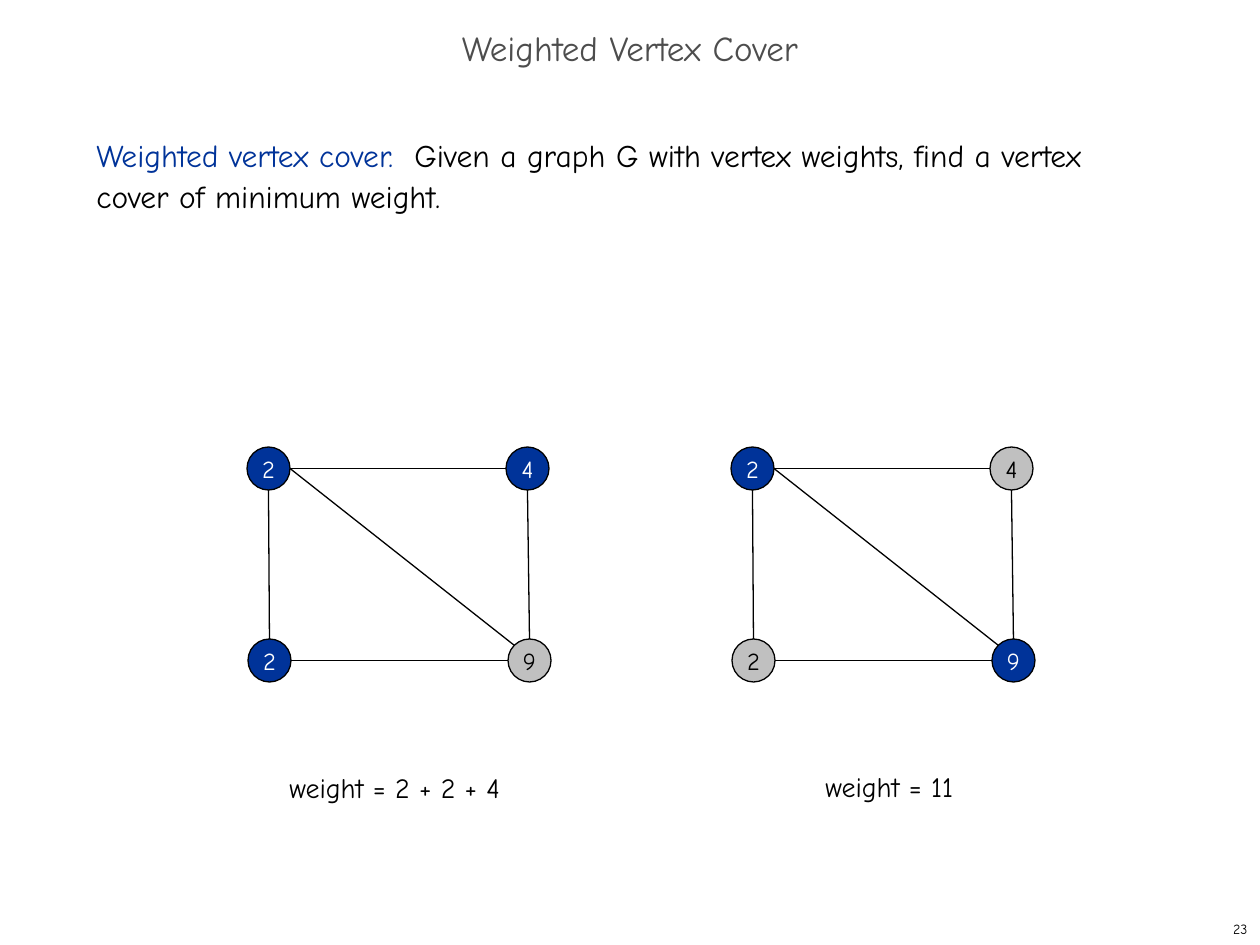
from dataclasses import dataclass

from lxml import etree
from pptx import Presentation
from pptx import util as u
from pptx.dml.color import RGBColor
from pptx.enum import shapes, text
from pptx.oxml import ns

EMU_PER_PX = 914400 / 126
FONT = "Comic Neue"
BLACK = RGBColor(0x00, 0x00, 0x00)
WHITE = RGBColor(0xFF, 0xFF, 0xFF)
BLUE = RGBColor(0x00, 0x33, 0x99)
GRAY = RGBColor(0xC0, 0xC0, 0xC0)
TITLE_GRAY = RGBColor(0x4D, 0x4D, 0x4D)

LEFT, CENTER, RIGHT = text.PP_ALIGN.LEFT, text.PP_ALIGN.CENTER, text.PP_ALIGN.RIGHT
TOP, MIDDLE = text.MSO_ANCHOR.TOP, text.MSO_ANCHOR.MIDDLE

DIAMETER = 43
LINE_WIDTH = u.Pt(0.75)
# Points on a vertex outline, as fractions of its diameter
SITES = {"top": (0.5, 0), "left": (0, 0.5), "bottom": (0.5, 1),
         "right": (1, 0.5), "top left": (0.15, 0.15)}


@dataclass(frozen=True)
class Vertex:
    weight: int
    x: int
    y: int


@dataclass(frozen=True)
class Edge:
    start: str
    start_site: str
    end: str
    end_site: str


@dataclass(frozen=True)
class Cover:
    x: int
    chosen: str
    label: str
    label_box: tuple[int, int, int, int]


VERTICES = {
    "a": Vertex(2, 0, 447),
    "b": Vertex(4, 259, 447),
    "c": Vertex(2, 1, 639),
    "d": Vertex(9, 261, 639),
}
EDGES = [
    Edge("a", "right", "b", "left"),
    Edge("a", "right", "d", "top left"),
    Edge("c", "right", "d", "left"),
    Edge("b", "bottom", "d", "top"),
    Edge("a", "bottom", "c", "top"),
]
COVERS = [
    Cover(247, "abc", "weight = 2 + 2 + 4", (277, 764, 237, 47)),
    Cover(731, "ad", "weight = 11", (813, 763, 154, 47)),
]


def px(n: float) -> u.Emu:
    return u.Emu(round(n * EMU_PER_PX))


def write(sp, *runs: tuple[str, RGBColor], size: int, align=LEFT, anchor=TOP,
          wrap: bool = False, spacing: float = 1.0) -> None:
    """Fill a shape with one paragraph of coloured runs."""
    tf = sp.text_frame
    tf.word_wrap = wrap
    tf.vertical_anchor = anchor
    p = tf.paragraphs[0]
    p.alignment = align
    p.line_spacing = spacing
    for words, color in runs:
        r = p.add_run()
        r.text = words
        r.font.name = FONT
        r.font.size = u.Pt(size)
        r.font.color.rgb = color


def add_text(slide, box: tuple[int, int, int, int], *runs, **style) -> None:
    write(slide.shapes.add_textbox(*map(px, box)), *runs, **style)


def add_vertex(slide, vertex: Vertex, x: int, chosen: bool) -> None:
    sp = slide.shapes.add_shape(shapes.MSO_SHAPE.OVAL, px(x + vertex.x),
                                px(vertex.y), px(DIAMETER), px(DIAMETER))
    sp.shadow.inherit = False
    sp.fill.solid()
    sp.fill.fore_color.rgb = BLUE if chosen else GRAY
    sp.line.color.rgb = BLACK
    sp.line.width = LINE_WIDTH
    write(sp, (str(vertex.weight), WHITE if chosen else BLACK), size=14,
          align=CENTER, anchor=MIDDLE)


def site_point(name: str, site: str, x: int) -> tuple[u.Emu, u.Emu]:
    vertex, (fx, fy) = VERTICES[name], SITES[site]
    return px(x + vertex.x + fx * DIAMETER), px(vertex.y + fy * DIAMETER)


def add_edge(slide, edge: Edge, x: int) -> None:
    line = slide.shapes.add_connector(
        shapes.MSO_CONNECTOR.STRAIGHT,
        *site_point(edge.start, edge.start_site, x),
        *site_point(edge.end, edge.end_site, x))
    line.line.color.rgb = BLACK
    line.line.width = LINE_WIDTH
    etree.SubElement(line._element.spPr, ns.qn("a:effectLst"))


def add_cover(slide, cover: Cover) -> None:
    for name, vertex in VERTICES.items():
        add_vertex(slide, vertex, cover.x, name in cover.chosen)
    for edge in EDGES:
        add_edge(slide, edge, cover.x)
    add_text(slide, cover.label_box, (cover.label, BLACK), size=16)


def main() -> None:
    prs = Presentation()
    prs.slide_width, prs.slide_height = px(1260), px(945)
    slide = prs.slides.add_slide(prs.slide_layouts[6])

    add_text(slide, (998, 913, 262, 32), ("23", BLACK), size=8,
             align=RIGHT, anchor=MIDDLE)
    add_text(slide, (0, 21, 1260, 63), ("Weighted Vertex Cover", TITLE_GRAY),
             size=20, align=CENTER, anchor=MIDDLE, wrap=True, spacing=0.7)
    add_text(slide, (84, 126, 1081, 746),
             ("Weighted vertex cover.  ", BLUE),
             ("Given a graph G with vertex weights, find a vertex cover of "
              "minimum weight.", BLACK),
             size=18, wrap=True, spacing=1.1)
    for cover in COVERS:
        add_cover(slide, cover)

    prs.save("out.pptx")


if __name__ == "__main__":
    main()
